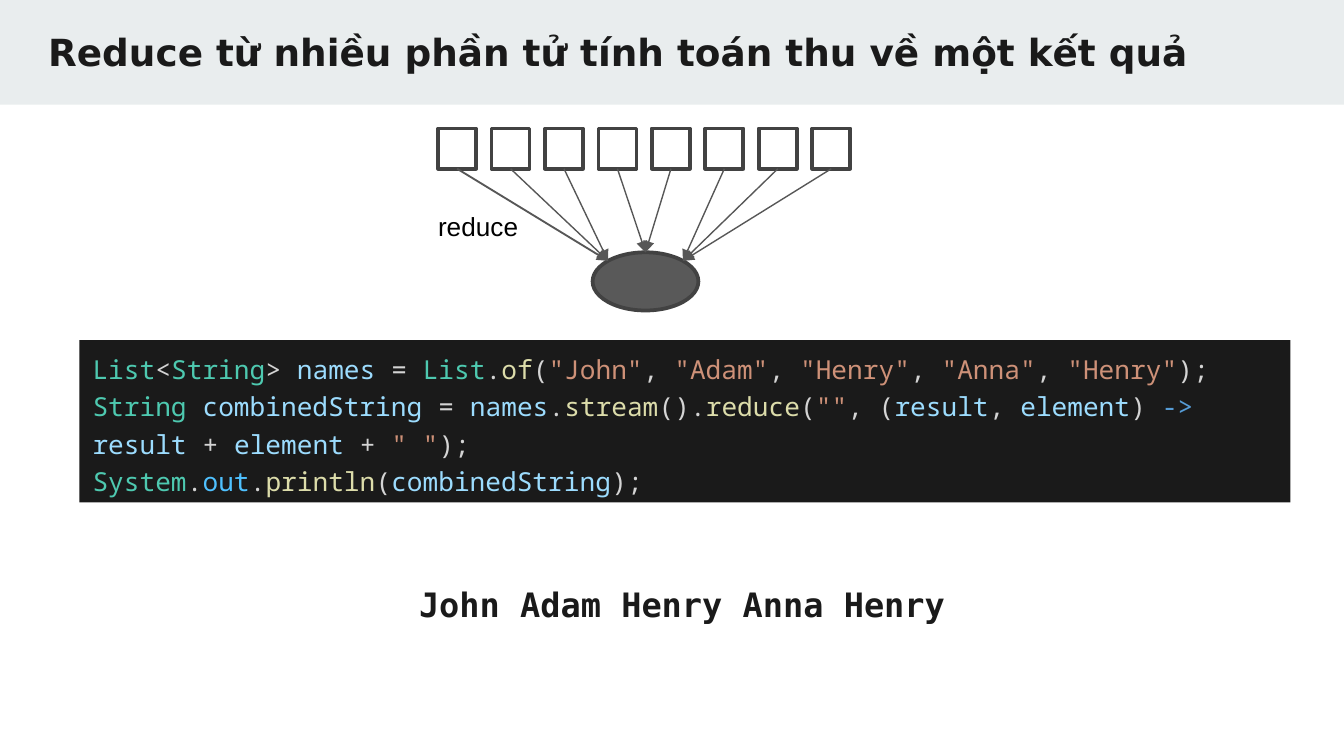
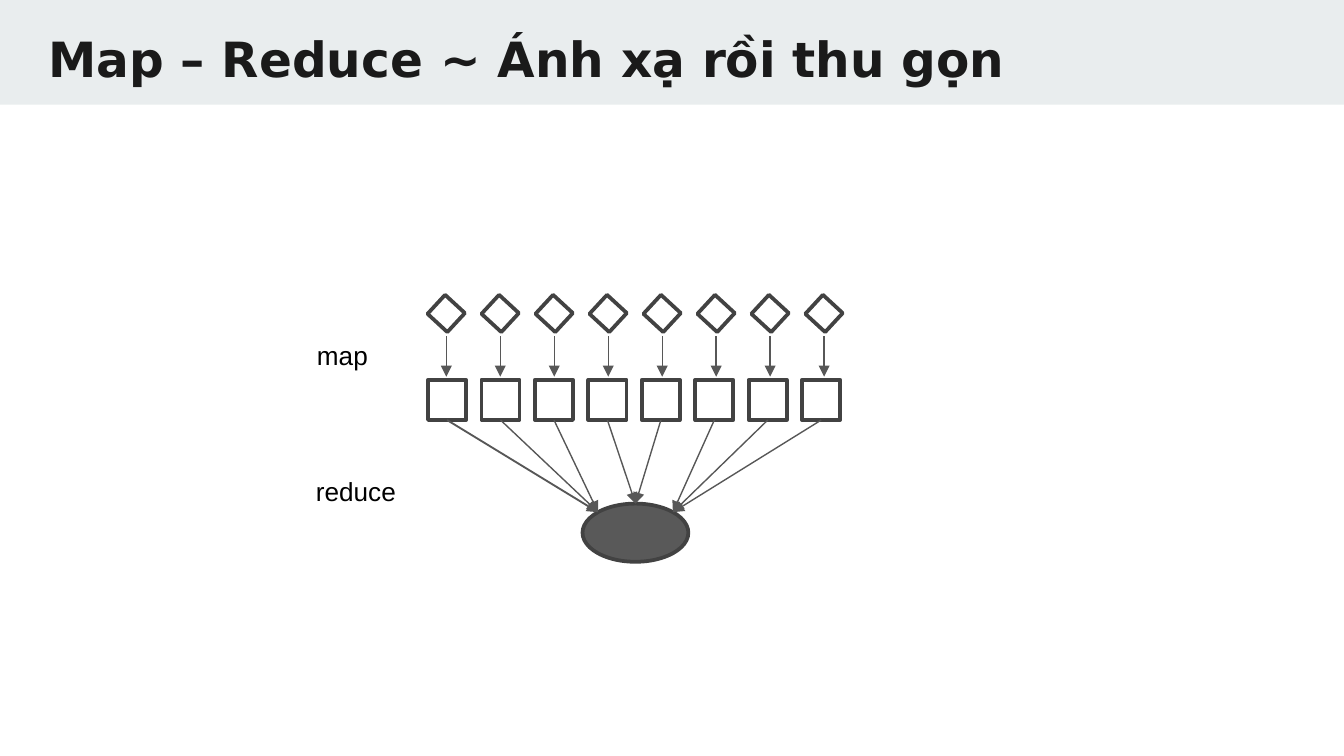
from dataclasses import dataclass
from typing import Optional

import lxml.etree
import pptx
import pptx.dml.color
import pptx.enum.shapes
import pptx.enum.text
import pptx.oxml.ns
import pptx.util

Cm = pptx.util.Cm
Pt = pptx.util.Pt
MSO_SHAPE = pptx.enum.shapes.MSO_SHAPE
qn = pptx.oxml.ns.qn

# Shared colours
BAND = "E9EDEE"
INK = "1A1A1A"
OUTLINE = "424242"
RESULT_FILL = "595959"
ARROW = "575757"
WHITE = "FFFFFF"
BLACK = "000000"

# Code colours
TYPE = "4EC9B0"
PLAIN = "D4D4D4"
VARIABLE = "9CDCFE"
METHOD = "DCDCAA"
STRING = "CE9178"
FIELD = "4FC1FF"
OPERATOR = "569CD6"

ITEM_COUNT = 8

CODE = [
    [("List", TYPE), ("<", PLAIN), ("String", TYPE), ("> ", PLAIN),
     ("names", VARIABLE), (" = ", PLAIN), ("List", TYPE), (".", PLAIN),
     ("of", METHOD), ("(", PLAIN), ('"John"', STRING), (", ", PLAIN),
     ('"Adam"', STRING), (", ", PLAIN), ('"Henry"', STRING), (", ", PLAIN),
     ('"Anna"', STRING), (", ", PLAIN), ('"Henry"', STRING), (");", PLAIN)],
    [("String ", TYPE), ("combinedString", VARIABLE), (" = ", PLAIN),
     ("names", VARIABLE), (".", PLAIN), ("stream", METHOD), ("().", PLAIN),
     ("reduce", METHOD), ("(", PLAIN), ('""', STRING), (", (", PLAIN),
     ("result", VARIABLE), (", ", PLAIN), ("element", VARIABLE),
     (") ", PLAIN), ("-> ", OPERATOR), ("result", VARIABLE), (" + ", PLAIN),
     ("element", VARIABLE), (" + ", PLAIN), ('" "', STRING), (");", PLAIN)],
    [("System", TYPE), (".", PLAIN), ("out", FIELD), (".", PLAIN),
     ("println", METHOD), ("(", PLAIN), ("combinedString", VARIABLE),
     (");", PLAIN)],
]


@dataclass
class Box:
    """A place on the slide, in centimetres."""
    left: float
    top: float
    width: float
    height: float


@dataclass
class Row:
    """Equal items, spaced evenly from the first one."""
    first: Box
    pitch: float
    rotation: float = 0


@dataclass
class Label:
    text: str
    box: Box
    size: float = 14
    font: str = "Arial"
    color: str = BLACK
    bold: bool = False


def rgb(color: str) -> pptx.dml.color.RGBColor:
    return pptx.dml.color.RGBColor.from_string(color)


def set_font(font, name: str, size: float, color: Optional[str] = None,
             bold: bool = False) -> None:
    font.name = name
    font.size = Pt(size)
    font.bold = bold
    if color:
        font.color.rgb = rgb(color)


def place(box: Box) -> tuple:
    return Cm(box.left), Cm(box.top), Cm(box.width), Cm(box.height)


def add_figure(slide, kind, box: Box, fill: str, line: Optional[str] = None):
    figure = slide.shapes.add_shape(kind, *place(box))
    figure.shadow.inherit = False
    figure.fill.solid()
    figure.fill.fore_color.rgb = rgb(fill)
    if line:
        figure.line.color.rgb = rgb(line)
        figure.line.width = Pt(2)
    else:
        figure.line.fill.background()
    return figure


def add_row(slide, row: Row) -> list:
    items = []
    for i in range(ITEM_COUNT):
        box = Box(row.first.left + i * row.pitch, row.first.top,
                  row.first.width, row.first.height)
        item = add_figure(slide, MSO_SHAPE.RECTANGLE, box, WHITE, OUTLINE)
        item.rotation = row.rotation
        items.append(item)
    return items


def add_arrow(slide, start: tuple, end: tuple, width: float = 0.75):
    arrow = slide.shapes.add_connector(
        pptx.enum.shapes.MSO_CONNECTOR.STRAIGHT, *start, *end)
    arrow.line.color.rgb = rgb(ARROW)
    arrow.line.width = Pt(width)
    properties = arrow.element.spPr
    lxml.etree.SubElement(properties.find(qn("a:ln")), qn("a:tailEnd"),
                          type="triangle")
    lxml.etree.SubElement(properties, qn("a:effectLst"))
    return arrow


def add_label(slide, label: Label) -> None:
    frame = slide.shapes.add_textbox(*place(label.box)).text_frame
    frame.word_wrap = False
    frame.auto_size = pptx.enum.text.MSO_AUTO_SIZE.SHAPE_TO_FIT_TEXT
    frame.text = label.text
    set_font(frame.paragraphs[0].font, label.font, label.size, label.color,
             label.bold)


def add_reduction(slide, left: float, top: float) -> None:
    """Squares whose arrows meet at one ellipse below them."""
    squares = add_row(slide, Row(Box(left, top, 0.72, 0.76), 1.01))
    result = add_figure(slide, MSO_SHAPE.OVAL,
                        Box(left + 2.92, top + 2.34, 2, 1.1),
                        RESULT_FILL, OUTLINE)

    # Arrows end on the ellipse at its top or on its diagonals
    diagonal = 0.5 ** 0.5
    center = result.left + result.width // 2
    reach = int(result.width / 2 * diagonal)
    shoulder = result.top + int(result.height / 2 * (1 - diagonal))
    for i, square in enumerate(squares):
        start = (square.left + square.width // 2, square.top + square.height)
        if i < 3:
            end = (center - reach, shoulder)
        elif i < 5:
            end = (center, result.top)
        else:
            end = (center + reach, shoulder)
        arrow = add_arrow(slide, start, end, 1 if i == 0 else 0.75)
        arrow.begin_connect(square, 2)
        if end[0] == center:
            arrow.end_connect(result, 0)


def add_titled_slide(deck, text: str, size: float):
    slide = deck.slides.add_slide(deck.slide_layouts.get_by_name("Title Only"))
    title = slide.shapes.title
    title.left, title.top, title.width, title.height = place(
        Box(0.66, 0.3, 24.18, 1.5))
    frame = title.text_frame
    frame.text = text
    frame.word_wrap = True
    frame.auto_size = pptx.enum.text.MSO_AUTO_SIZE.NONE
    frame.vertical_anchor = pptx.enum.text.MSO_ANCHOR.TOP
    frame.margin_left = frame.margin_right = Cm(0.25)
    frame.margin_top = frame.margin_bottom = Cm(0.25)
    paragraph = frame.paragraphs[0]
    paragraph.alignment = pptx.enum.text.PP_ALIGN.LEFT
    set_font(paragraph.font, "DejaVu Sans", size, INK, True)
    return slide


def add_layout_band(slide) -> None:
    """Put the title band behind everything on the shared layout."""
    band = add_figure(slide, MSO_SHAPE.RECTANGLE, Box(0, 0, 25.4, 1.98), BAND)
    slide.slide_layout.shapes.element.insert(2, band.element)


def add_code(slide, box: Box) -> None:
    frame = add_figure(slide, MSO_SHAPE.RECTANGLE, box, INK).text_frame
    frame.word_wrap = True
    frame.auto_size = pptx.enum.text.MSO_AUTO_SIZE.SHAPE_TO_FIT_TEXT
    frame.vertical_anchor = pptx.enum.text.MSO_ANCHOR.TOP
    for i, tokens in enumerate(CODE):
        line = frame.add_paragraph() if i else frame.paragraphs[0]
        line.alignment = pptx.enum.text.PP_ALIGN.LEFT
        line.line_spacing = 1.2
        set_font(line.font, "Noto Sans Mono", 14)
        for text, color in tokens:
            run = line.add_run()
            run.text = text
            run.font.color.rgb = rgb(color)


def build_reduce_slide(deck) -> None:
    slide = add_titled_slide(
        deck, "Reduce từ nhiều phần tử tính toán thu về một kết quả", 20)
    add_layout_band(slide)
    add_reduction(slide, 8.28, 2.43)
    add_label(slide, Label("reduce", Box(8.03, 3.86, 2.03, 0.86)))
    add_code(slide, Box(1.5, 6.43, 22.89, 3.07))
    add_label(slide, Label("John Adam Henry Anna Henry",
                           Box(7.67, 10.92, 10.82, 1.02),
                           18, "DejaVu Sans Mono", INK, True))


def build_map_reduce_slide(deck) -> None:
    slide = add_titled_slide(deck, "Map – Reduce ~ Ánh xạ rồi thu gọn", 26)
    add_reduction(slide, 8.09, 7.18)
    add_label(slide, Label("reduce", Box(5.72, 8.87, 2.03, 0.86)))

    # Inputs, each mapped to the square below it
    inputs = add_row(slide, Row(Box(8.19, 5.67, 0.49, 0.51), 1.02, 312.7))
    for item in inputs:
        x = item.left + item.width // 2
        add_arrow(slide, (x, Cm(6.36)), (x, Cm(7.12)))
    add_label(slide, Label("map", Box(5.74, 6.3, 1.47, 0.86)))


def main() -> None:
    deck = pptx.Presentation()
    deck.slide_width = Cm(25.4)
    deck.slide_height = Cm(14.29)
    build_reduce_slide(deck)
    build_map_reduce_slide(deck)
    deck.save("out.pptx")


if __name__ == "__main__":
    main()
